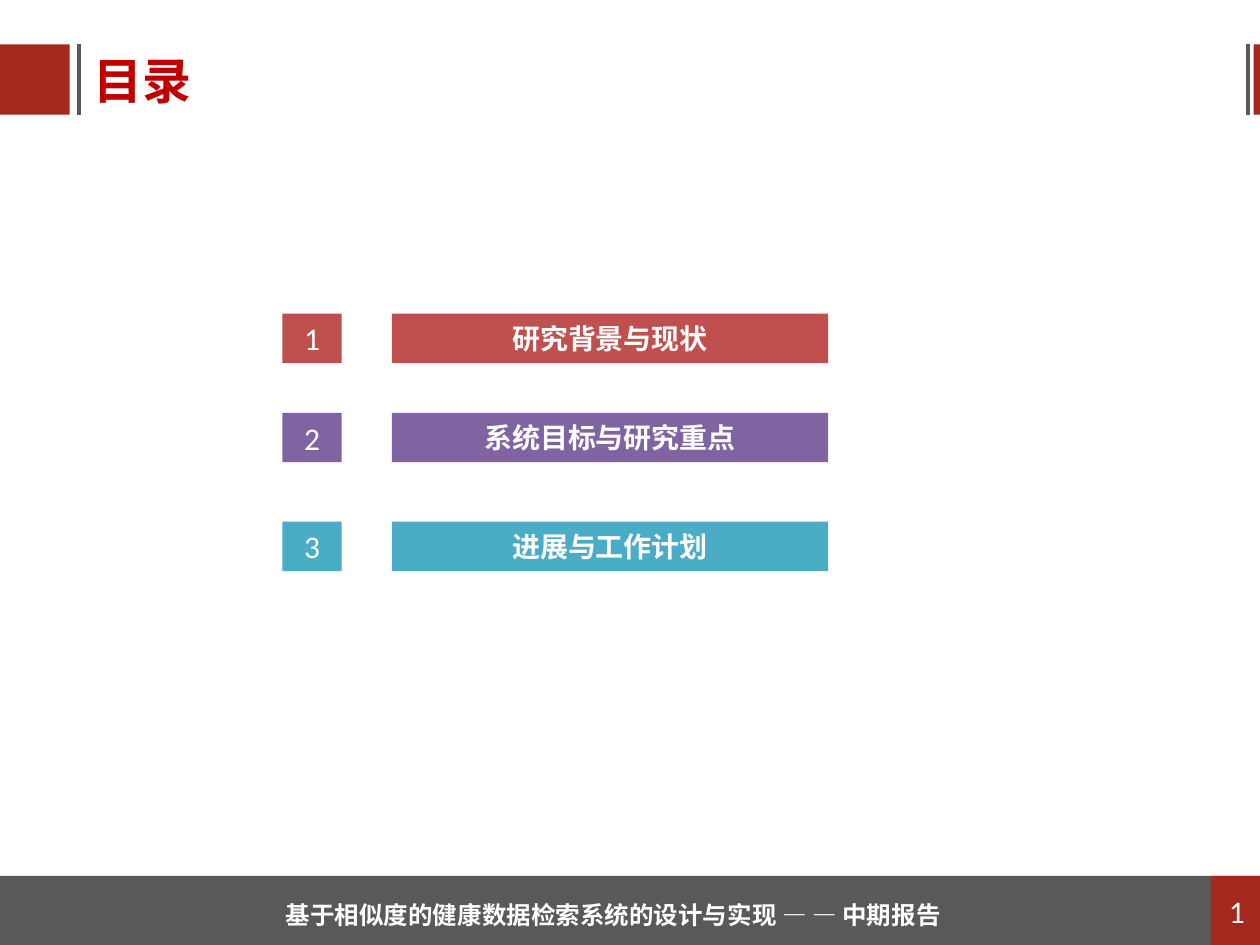
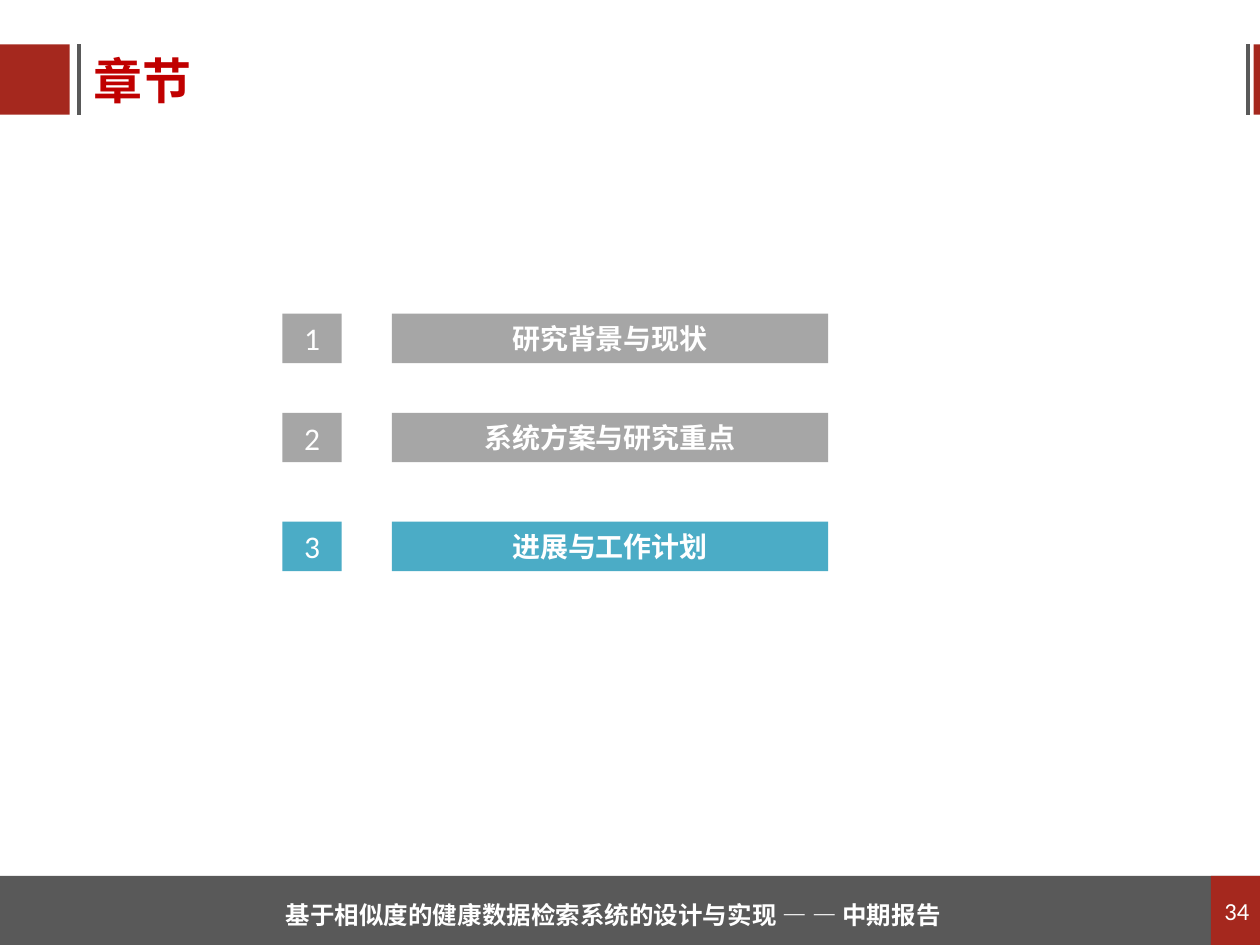
from lxml import etree
from pptx import Presentation
from pptx.dml.color import RGBColor
from pptx.enum.shapes import MSO_CONNECTOR, MSO_SHAPE
from pptx.enum.text import MSO_ANCHOR, MSO_AUTO_SIZE, PP_ALIGN
from pptx.oxml.ns import qn
from pptx.util import Pt

RECTANGLE = MSO_SHAPE.RECTANGLE
STRAIGHT = MSO_CONNECTOR.STRAIGHT
TOP, MIDDLE = MSO_ANCHOR.TOP, MSO_ANCHOR.MIDDLE
LEFT, CENTER = PP_ALIGN.LEFT, PP_ALIGN.CENTER
FIT_SHAPE = MSO_AUTO_SIZE.SHAPE_TO_FIT_TEXT

WHITE = RGBColor(0xFF, 0xFF, 0xFF)
BRICK = RGBColor(0xA5, 0x28, 0x1E)
TITLE_RED = RGBColor(0xC0, 0x00, 0x00)
DARK_GRAY = RGBColor(0x59, 0x59, 0x59)
MUTED = RGBColor(0xA6, 0xA6, 0xA6)
CORAL = RGBColor(0xC0, 0x50, 0x4D)
PURPLE = RGBColor(0x80, 0x64, 0xA2)
TEAL = RGBColor(0x4B, 0xAC, 0xC6)

CHINESE_FONT = "Noto Sans CJK SC"
NUMBER_FONT = "Calibri"
REPORT_NAME = "基于相似度的健康数据检索系统的设计与实现 — — 中期报告"

PAGE_WIDTH, PAGE_HEIGHT = 720, 540
HEADER_BOX = (0, 25.4, 721.4, 40.2)
FOOTER_BOX = (-2, 500.6, 723.5, 39.4)
AGENDA_BOX = (161.4, 179.2, 311.8, 147)
ENTRY_HEIGHT = 28.3
ENTRY_OFFSETS = (0, 56.7, 118.9)


def write(frame, text, size, color=WHITE, font=CHINESE_FONT, align=CENTER):
    para = frame.paragraphs[0]
    para.text = text
    para.alignment = align
    para.font.size = Pt(size)
    para.font.bold = font == CHINESE_FONT
    para.font.color.rgb = color
    para.font.name = font
    defaults = para._p.pPr.find(qn("a:defRPr"))
    etree.SubElement(defaults, qn("a:ea")).set("typeface", font)
    return para


def set_margins(frame, horizontal, vertical):
    frame.margin_left = frame.margin_right = Pt(horizontal)
    frame.margin_top = frame.margin_bottom = Pt(vertical)


def add_block(page, left, top, width, height, fill):
    block = page.shapes.add_shape(RECTANGLE, Pt(left), Pt(top), Pt(width), Pt(height))
    block.shadow.inherit = False
    block.fill.solid()
    block.fill.fore_color.rgb = fill
    block.line.fill.background()
    block.text_frame.vertical_anchor = MIDDLE
    set_margins(block.text_frame, 0, 3.6)
    return block


def add_rule(page, x, top, height):
    rule = page.shapes.add_connector(STRAIGHT, Pt(x), Pt(top), Pt(x), Pt(top + height))
    rule.line.color.rgb = DARK_GRAY
    rule.line.width = Pt(2.25)
    etree.SubElement(rule._element.spPr, qn("a:effectLst"))


def add_header(page, box, text):
    left, top, width, height = box
    add_block(page, left + width - 5, top, 5, height, BRICK)
    add_rule(page, left + width - 8, top, height)
    add_block(page, left, top, 39.8, height, BRICK)
    add_rule(page, left + 45.2, top, height)

    title = page.shapes.title
    title.left, title.top = Pt(left + 53.3), Pt(top + 3.4)
    title.width, title.height = Pt(56.9), Pt(33.8)
    frame = title.text_frame
    frame.word_wrap = False
    frame.auto_size = FIT_SHAPE
    frame.vertical_anchor = TOP
    set_margins(frame, 0, 0)
    write(frame, text, 28, TITLE_RED, align=LEFT)


def add_footer(page, box, number, number_size):
    left, top, width, height = box
    number_width = 29.5
    add_block(page, left, top, width, height, DARK_GRAY)
    badge = add_block(page, left + width - number_width, top, number_width, height, BRICK)
    write(badge.text_frame, number, number_size, font=NUMBER_FONT)

    caption = page.shapes.add_textbox(Pt(left + 158.2), Pt(top + 2), Pt(396.7), Pt(32.4))
    frame = caption.text_frame
    frame.word_wrap = False
    frame.auto_size = FIT_SHAPE
    set_margins(frame, 7.2, 3.6)
    write(frame, REPORT_NAME, 14, align=LEFT).line_spacing = 1.5


def add_agenda(page, box, entries):
    left, top, width, _ = box
    bar_offset = 62.6
    for number, (offset, (text, fill)) in enumerate(zip(ENTRY_OFFSETS, entries), 1):
        badge = add_block(page, left, top + offset, 33.9, ENTRY_HEIGHT, fill)
        write(badge.text_frame, str(number), 18, font=NUMBER_FONT)
        bar = add_block(page, left + bar_offset, top + offset,
                        width - bar_offset, ENTRY_HEIGHT, fill)
        write(bar.text_frame, text, 16)


def add_agenda_page(deck, title, entries, number, number_size):
    page = deck.slides.add_slide(deck.slide_layouts[5])
    page.background.fill.solid()
    page.background.fill.fore_color.rgb = WHITE
    add_header(page, HEADER_BOX, title)
    add_agenda(page, AGENDA_BOX, entries)
    add_footer(page, FOOTER_BOX, number, number_size)


def main():
    deck = Presentation()
    deck.slide_width, deck.slide_height = Pt(PAGE_WIDTH), Pt(PAGE_HEIGHT)
    add_agenda_page(deck, "目录", [
        ("研究背景与现状", CORAL),
        ("系统目标与研究重点", PURPLE),
        ("进展与工作计划", TEAL),
    ], "1", 18)
    add_agenda_page(deck, "章节", [
        ("研究背景与现状", MUTED),
        ("系统方案与研究重点", MUTED),
        ("进展与工作计划", TEAL),
    ], "34", 14)
    deck.save("out.pptx")


if __name__ == "__main__":
    main()
